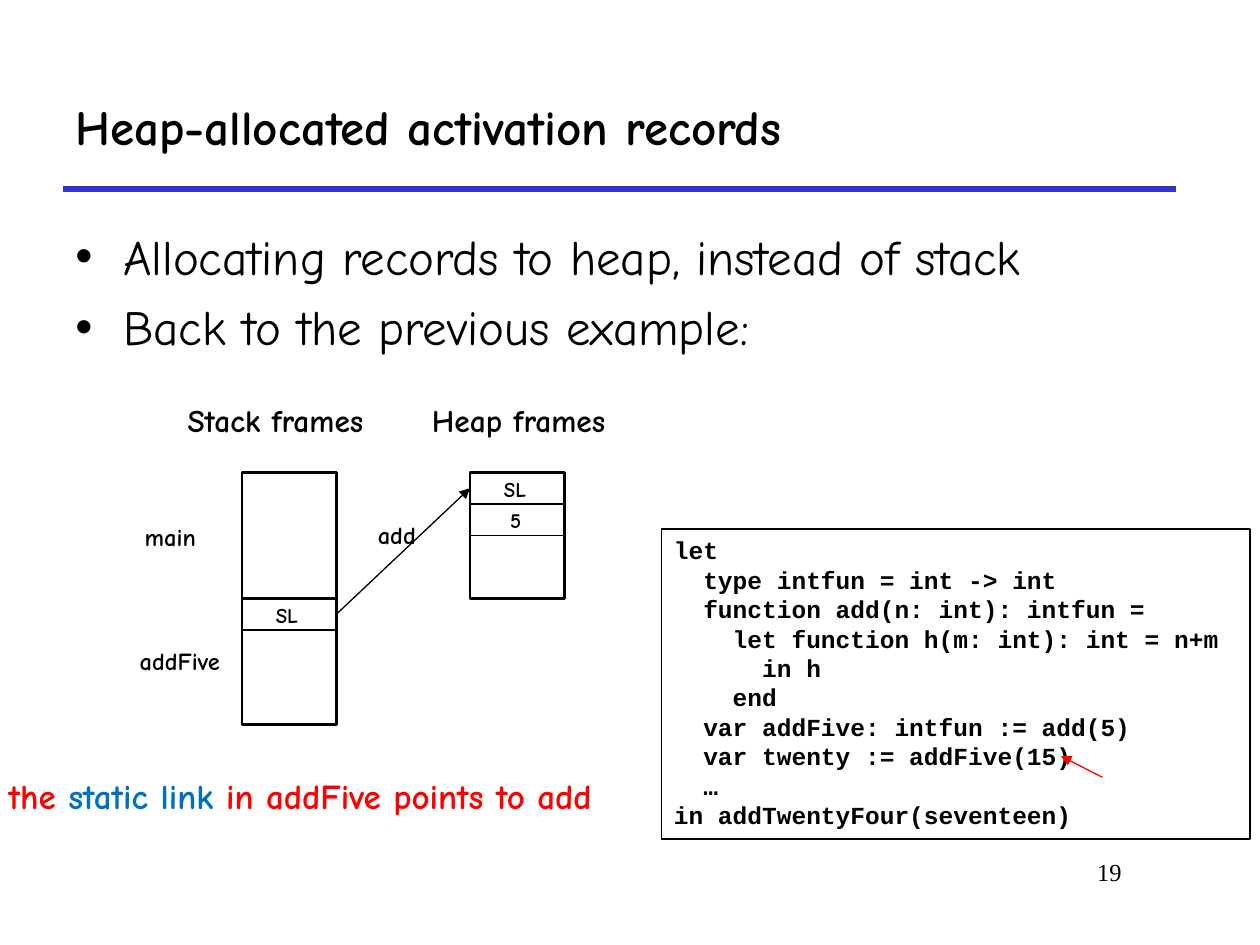
"""Build a slide on heap-allocated activation records."""

from lxml.etree import SubElement
from pptx import Presentation
from pptx.dml.color import RGBColor
from pptx.enum.shapes import MSO_CONNECTOR, MSO_SHAPE
from pptx.enum.text import MSO_ANCHOR, PP_ALIGN
from pptx.oxml.ns import qn
from pptx.util import Inches, Pt

BLACK = RGBColor(0, 0, 0)
RED = RGBColor(0xFF, 0, 0)
BLUE = RGBColor(0, 0x70, 0xC0)
NAVY = RGBColor(0x33, 0x33, 0xCC)
HAND, CODE, SERIF = "Comic Neue", "Courier New", "Times New Roman"

TITLE = "Heap-allocated activation records"
POINTS = [
    "Allocating records to heap, instead of stack",
    "Back to the previous example:",
]
SOURCE = """let
  type intfun = int -> int
  function add(n: int): intfun =
    let function h(m: int): int = n+m
      in h
    end
  var addFive: intfun := add(5)
  var twenty := addFive(15)
  …
in addTwentyFour(seventeen)"""
NOTE = [("the ", RED), ("static link", BLUE), (" in addFive points to add", RED)]
LABELS = [
    ("Stack frames", 18, (1.39, 3.13, 1.81, 0.4)),
    ("Heap frames", 18, (3.33, 3.13, 1.73, 0.4)),
    ("main", 14, (1.05, 4.09, 0.61, 0.34)),
    ("addFive", 14, (1.01, 5.08, 0.91, 0.34)),
    ("add", 14, (2.9, 4.08, 0.53, 0.34)),
]
STACK, HEAP, TOP = 1.92, 3.73, 3.75
WIDE, TALL, SLOT = 0.75, 1, 0.25
FRAMES = [(STACK, TOP, []), (STACK, TOP + TALL, ["SL"]), (HEAP, TOP, ["SL", "5"])]
CELLS = {"SL": 0.41, "5": 0.31}


def style(para, size, color=BLACK, face=HAND, bold=True):
    for run in para.runs:
        font = run.font
        font.size, font.name, font.bold = Pt(size), face, bold
        font.color.rgb = color


def add_text(slide, box, text, size, face=HAND, bold=True, wrap=False):
    frame = slide.shapes.add_textbox(*map(Inches, box)).text_frame
    frame.word_wrap = wrap
    frame.text = text
    for para in frame.paragraphs:
        style(para, size, BLACK, face, bold)
    return frame


def add_rect(slide, box, width):
    rect = slide.shapes.add_shape(MSO_SHAPE.RECTANGLE, *map(Inches, box))
    rect.shadow.inherit = False
    rect.fill.background()
    rect.line.color.rgb = BLACK
    rect.line.width = Pt(width)
    return rect


def add_line(slide, ends, color, width, arrow=True):
    line = slide.shapes.add_connector(MSO_CONNECTOR.STRAIGHT, *map(Inches, ends))
    line.line.color.rgb = color
    line.line.width = Pt(width)
    if arrow:
        SubElement(line.line._get_or_add_ln(), qn("a:tailEnd"), type="triangle")
    SubElement(line._element.spPr, qn("a:effectLst"))
    return line


def add_head(slide):
    title = slide.shapes.title
    title.left, title.top, title.width, title.height = map(Inches, (0.5, 0.5, 8.83, 1))
    frame = title.text_frame
    frame.text = TITLE
    frame.vertical_anchor = MSO_ANCHOR.MIDDLE
    frame.paragraphs[0].alignment = PP_ALIGN.LEFT
    style(frame.paragraphs[0], 28)
    add_line(slide, (0.5, 1.5, 9.33, 1.5), NAVY, 3, False)


def add_points(slide):
    box = (0.5, 1.75, 9.08, 4.83)
    frame = add_text(slide, box, "\n".join(POINTS), 28, bold=False, wrap=True)
    for num, para in enumerate(frame.paragraphs):
        props = para._p.get_or_add_pPr()
        props.set("marL", str(Inches(0.38)))
        props.set("indent", str(-Inches(0.38)))
        SubElement(props, qn("a:buFont"), typeface="Arial")
        SubElement(props, qn("a:buChar"), char="•")
        para.space_before = Pt(6.5 if num else 0)


def add_code(slide):
    frame = add_rect(slide, (5.25, 4.2, 4.67, 2.46), 1).text_frame
    frame.word_wrap = False
    frame.vertical_anchor = MSO_ANCHOR.TOP
    frame.text = SOURCE
    for para in frame.paragraphs:
        para.alignment = PP_ALIGN.LEFT
        style(para, 14, face=CODE)
    add_line(slide, (8.75, 6.17, 8.42, 6), RED, 0.75)


def add_frames(slide):
    links = []
    for left, top, cells in FRAMES:
        add_rect(slide, (left, top, WIDE, TALL), 1.5)
        for row, text in enumerate(cells):
            y = top + row * SLOT
            slot = add_rect(slide, (left, y, WIDE, SLOT), 1)
            width = CELLS[text]
            x = left + (WIDE - width) / 2
            add_text(slide, (x, y - 0.02, width, 0.3), text, 12)
            if text == "SL":
                links.append(slot)
    link = add_line(slide, (STACK + WIDE, 4.88, HEAP, 3.88), BLACK, 0.75)
    link.begin_connect(links[0], 3)
    link.end_connect(links[1], 1)


def add_note(slide):
    frame = add_text(slide, (-0.03, 6.1, 5.39, 0.44), "", 20)
    para = frame.paragraphs[0]
    for text, _ in NOTE:
        para.add_run().text = text
    style(para, 20)
    for run, (_, color) in zip(para.runs, NOTE):
        run.font.color.rgb = color


def main():
    deck = Presentation()
    deck.slide_width, deck.slide_height = Inches(10), Inches(7.5)
    slide = deck.slides.add_slide(deck.slide_layouts[5])
    add_head(slide)
    add_points(slide)
    page = add_text(slide, (7.58, 6.75, 1.42, 0.5), "19", 14, SERIF, False, True)
    page.paragraphs[0].alignment = PP_ALIGN.RIGHT
    add_code(slide)
    add_frames(slide)
    for text, size, box in LABELS:
        add_text(slide, box, text, size)
    add_note(slide)
    deck.save("out.pptx")


if __name__ == "__main__":
    main()
